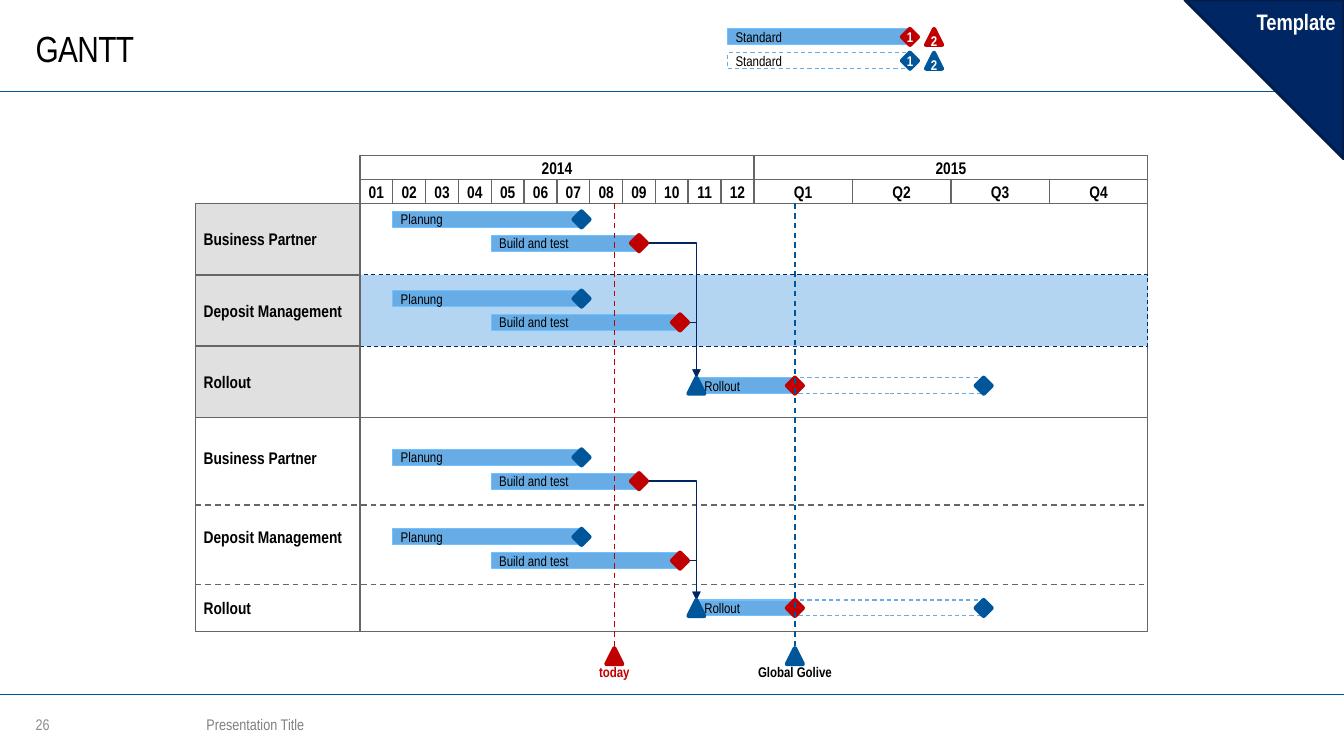
from lxml import etree
from pptx import Presentation
from pptx.dml.color import RGBColor
from pptx.enum import dml, shapes, text
from pptx.oxml.ns import qn
from pptx.util import Pt

FONT = "Arial Narrow"
BLACK = RGBColor(0x00, 0x00, 0x00)
WHITE = RGBColor(0xFF, 0xFF, 0xFF)
GRID = RGBColor(0x66, 0x66, 0x66)
LABEL_GRAY = RGBColor(0xE0, 0xE0, 0xE0)
NUMBER_GRAY = RGBColor(0x8C, 0x8C, 0x8C)
FOOTER_GRAY = RGBColor(0x80, 0x80, 0x80)
RULE_BLUE = RGBColor(0x00, 0x55, 0x9B)
BLUE = RGBColor(0x00, 0x56, 0x9B)
RED = RGBColor(0xC0, 0x00, 0x00)
BAR_BLUE = RGBColor(0x68, 0xAC, 0xE5)
BAR_EDGE = RGBColor(0x71, 0xC0, 0xFF)
BAND_BLUE = RGBColor(0xB3, 0xD5, 0xF2)
NAVY = RGBColor(0x00, 0x26, 0x63)
NAVY_EDGE = RGBColor(0x00, 0x1C, 0x49)
ARROW_NAVY = RGBColor(0x00, 0x25, 0x61)

RECT = shapes.MSO_SHAPE.RECTANGLE
DIAMOND = shapes.MSO_SHAPE.DIAMOND
TRIANGLE = shapes.MSO_SHAPE.ISOSCELES_TRIANGLE
LEFT, CENTER, RIGHT = text.PP_ALIGN.LEFT, text.PP_ALIGN.CENTER, text.PP_ALIGN.RIGHT

SLIDE_WIDTH, SLIDE_HEIGHT = 960, 540
CHART_LEFT, CHART_TOP = 257.1, 111.3
MONTH = 23.45
YEAR = 12 * MONTH
HEADER = 17
BODY_TOP = CHART_TOP + 2 * HEADER
ROW = 3 * HEADER
LABEL_LEFT, LABEL_WIDTH = 139.8, 117.3
LOWER_TOP = BODY_TOP + 3 * ROW
BAR = 11.4
FLAG_TOP, FLAG_LABEL_WIDTH = 463, 80
LANES = ("Business Partner", "Deposit Management", "Rollout")
# Tops of the first bar in each lane, for the upper and the lower plan
UPPER_TOPS = (151, 207.6, 269.8)
LOWER_TOPS = (321, 377.8, 428.6)
BUILD_ENDS = (8.5, 9.75)
ROLLOUT_START, GOLIVE, ROLLOUT_END = 10.25, 13.25, 19
TODAY = 7.75


def month_x(month):
    return CHART_LEFT + month * MONTH


def write(shape, words, size, color=BLACK, bold=False, align=LEFT,
          margins=(5.7, 0), wrap=False, anchor=text.MSO_ANCHOR.MIDDLE):
    """Fill the shape with one line; margins are (horizontal, vertical)."""
    frame = shape.text_frame
    frame.margin_left = frame.margin_right = Pt(margins[0])
    frame.margin_top = frame.margin_bottom = Pt(margins[1])
    frame.word_wrap = wrap
    frame.vertical_anchor = anchor
    frame.text = words
    paragraph = frame.paragraphs[0]
    paragraph.alignment = align
    font = paragraph.runs[0].font
    font.name, font.size, font.bold = FONT, Pt(size), bold
    font.color.rgb = color


def add_label(slide, x, y, width, height, words, size, **style):
    label = slide.shapes.add_textbox(Pt(x), Pt(y), Pt(width), Pt(height))
    write(label, words, size, **style)
    return label


def add_box(slide, x, y, width, height, fill=None, edge=GRID, weight=1,
            dashed=False, kind=RECT):
    box = slide.shapes.add_shape(kind, Pt(x), Pt(y), Pt(width), Pt(height))
    box.shadow.inherit = False
    if fill is None:
        box.fill.background()
    else:
        box.fill.solid()
        box.fill.fore_color.rgb = fill
    box.line.color.rgb = edge
    box.line.width = Pt(weight)
    if dashed:
        box.line.dash_style = dml.MSO_LINE.DASH
    return box


def add_line(slide, x1, y1, x2, y2, color, weight=1, dashed=False,
             kind=shapes.MSO_CONNECTOR.STRAIGHT):
    line = slide.shapes.add_connector(kind, Pt(x1), Pt(y1), Pt(x2), Pt(y2))
    line.line.color.rgb = color
    line.line.width = Pt(weight)
    if dashed:
        line.line.dash_style = dml.MSO_LINE.DASH
    etree.SubElement(line._element.spPr, qn("a:effectLst"))
    return line


def add_dependency(slide, x1, y1, x2, y2, weight):
    """Arrow that runs right and then down, with a single bend."""
    arrow = add_line(slide, x1, y1, x2, y2, ARROW_NAVY, weight,
                     kind=shapes.MSO_CONNECTOR.ELBOW)
    properties = arrow._element.spPr
    properties.find(qn("a:prstGeom")).set("prst", "bentConnector2")
    etree.SubElement(properties.find(qn("a:ln")), qn("a:tailEnd"), type="triangle")


def add_bar(slide, x1, x2, y, words="", planned=False):
    """Task bar; a planned one is an empty dashed frame."""
    if planned:
        bar = add_box(slide, x1, y, x2 - x1, BAR, None, BAR_BLUE, 0.75, True)
    else:
        bar = add_box(slide, x1, y, x2 - x1, BAR, BAR_BLUE, BAR_EDGE, 0.75)
    if words:
        write(bar, words, 10)


def add_milestone(slide, kind, center, y, color, number=""):
    milestone = add_box(slide, center - BAR / 2, y, BAR, BAR, color, color, 3, kind=kind)
    etree.SubElement(milestone._element.spPr.find(qn("a:ln")), qn("a:round"))
    if number:
        write(milestone, number, 10, WHITE, True, CENTER, (0, 0))


def add_header_cell(slide, x, y, width, words):
    cell = add_box(slide, x, y, width, HEADER, WHITE)
    write(cell, words, 12, bold=True, align=CENTER, margins=(0, 0))


def add_header(slide):
    for month in range(12):
        add_header_cell(slide, month_x(month), CHART_TOP + HEADER, MONTH, f"{month + 1:02}")
    for quarter in range(4):
        add_header_cell(slide, month_x(12 + 3 * quarter), CHART_TOP + HEADER,
                        3 * MONTH, f"Q{quarter + 1}")
    for index, year in enumerate(("2014", "2015")):
        add_header_cell(slide, month_x(12 * index), CHART_TOP, YEAR, year)


def add_lanes(slide):
    add_box(slide, CHART_LEFT, BODY_TOP, 2 * YEAR, 3 * ROW)
    add_box(slide, CHART_LEFT, BODY_TOP + ROW, 2 * YEAR, ROW, BAND_BLUE, NAVY, 0.75, True)
    for x, width in ((LABEL_LEFT, LABEL_WIDTH), (CHART_LEFT, 2 * YEAR)):
        add_box(slide, x, LOWER_TOP, width, 3 * ROW)
    for index, (lane, lower_top) in enumerate(zip(LANES, LOWER_TOPS)):
        label = add_box(slide, LABEL_LEFT, BODY_TOP + index * ROW, LABEL_WIDTH, ROW, LABEL_GRAY)
        write(label, lane, 12, bold=True, margins=(5.7, 5.7))
        add_label(slide, LABEL_LEFT, lower_top, LABEL_WIDTH, BAR, lane, 12, bold=True)
    for y in (360.8, 417.5):
        add_line(slide, LABEL_LEFT, y, month_x(24), y, GRID, dashed=True)


def add_plan(slide, tops):
    *build_lanes, rollout_top = tops
    start, golive, end = map(month_x, (ROLLOUT_START, GOLIVE, ROLLOUT_END))
    for top, build_end, weight in zip(build_lanes, BUILD_ENDS, (1, 0.75)):
        build_top = top + HEADER
        planned_x, built_x = month_x(6.75), month_x(build_end)
        add_dependency(slide, built_x + BAR / 2, build_top + BAR / 2, start, rollout_top, weight)
        add_bar(slide, month_x(1), planned_x, top, "Planung")
        add_milestone(slide, DIAMOND, planned_x, top, BLUE)
        add_bar(slide, month_x(4), built_x, build_top, "Build and test")
        add_milestone(slide, DIAMOND, built_x, build_top, RED)
    add_bar(slide, start, golive, rollout_top, "Rollout")
    add_bar(slide, golive, end, rollout_top, planned=True)
    add_milestone(slide, DIAMOND, end, rollout_top, BLUE)
    add_milestone(slide, DIAMOND, golive, rollout_top, RED)
    add_milestone(slide, TRIANGLE, start, rollout_top, BLUE)


def add_date_flag(slide, month, color, words, words_color):
    x = month_x(month)
    add_milestone(slide, TRIANGLE, x, FLAG_TOP, color)
    add_label(slide, x - FLAG_LABEL_WIDTH / 2, FLAG_TOP + BAR, FLAG_LABEL_WIDTH, BAR,
              words, 10, color=words_color, bold=True, align=CENTER, margins=(0, 0))
    add_line(slide, x, BODY_TOP, x, FLAG_TOP, color, dashed=True)


def add_legend(slide):
    for y, planned, color in ((20.7, False, RED), (37.7, True, BLUE)):
        add_bar(slide, 519.7, 650, y, "Standard", planned)
        add_milestone(slide, DIAMOND, 650, y, color, "1")
        add_milestone(slide, TRIANGLE, 667.2, y, color, "2")


def add_page_frame(slide):
    for y in (65.4, 496):
        add_line(slide, 0, y, SLIDE_WIDTH, y, RULE_BLUE)
    plain = dict(margins=(0, 0), wrap=True)
    title = add_label(slide, 25.5, 2.8, 741, 62.7, "GANTT", 26, **plain)
    title.text_frame.paragraphs[0].runs[0].font._element.set("spc", "-50")
    add_label(slide, 25.5, 507.6, 26.6, 20.2, "26", 11, color=NUMBER_GRAY, **plain)
    add_label(slide, 147.4, 507.6, 491, 20.2, "Presentation Title", 11,
              color=FOOTER_GRAY, **plain)


def add_corner(slide):
    corner = add_box(slide, 846.3, 0, 113.4, 113.4, NAVY, NAVY_EDGE, 2, kind=TRIANGLE)
    corner.adjustments[0] = 1
    corner.rotation = 270
    write(corner, "Template", 16, WHITE, True, RIGHT, (5.7, 5.7), anchor=text.MSO_ANCHOR.TOP)
    corner.text_frame._txBody.bodyPr.set("vert", "vert")


def main():
    deck = Presentation()
    deck.slide_width, deck.slide_height = Pt(SLIDE_WIDTH), Pt(SLIDE_HEIGHT)
    slide = deck.slides.add_slide(deck.slide_layouts[6])
    add_page_frame(slide)
    add_legend(slide)
    add_lanes(slide)
    add_header(slide)
    for tops in (UPPER_TOPS, LOWER_TOPS):
        add_plan(slide, tops)
    add_date_flag(slide, TODAY, RED, "today", RED)
    add_date_flag(slide, GOLIVE, BLUE, "Global Golive", BLACK)
    add_corner(slide)
    deck.save("out.pptx")


if __name__ == "__main__":
    main()
